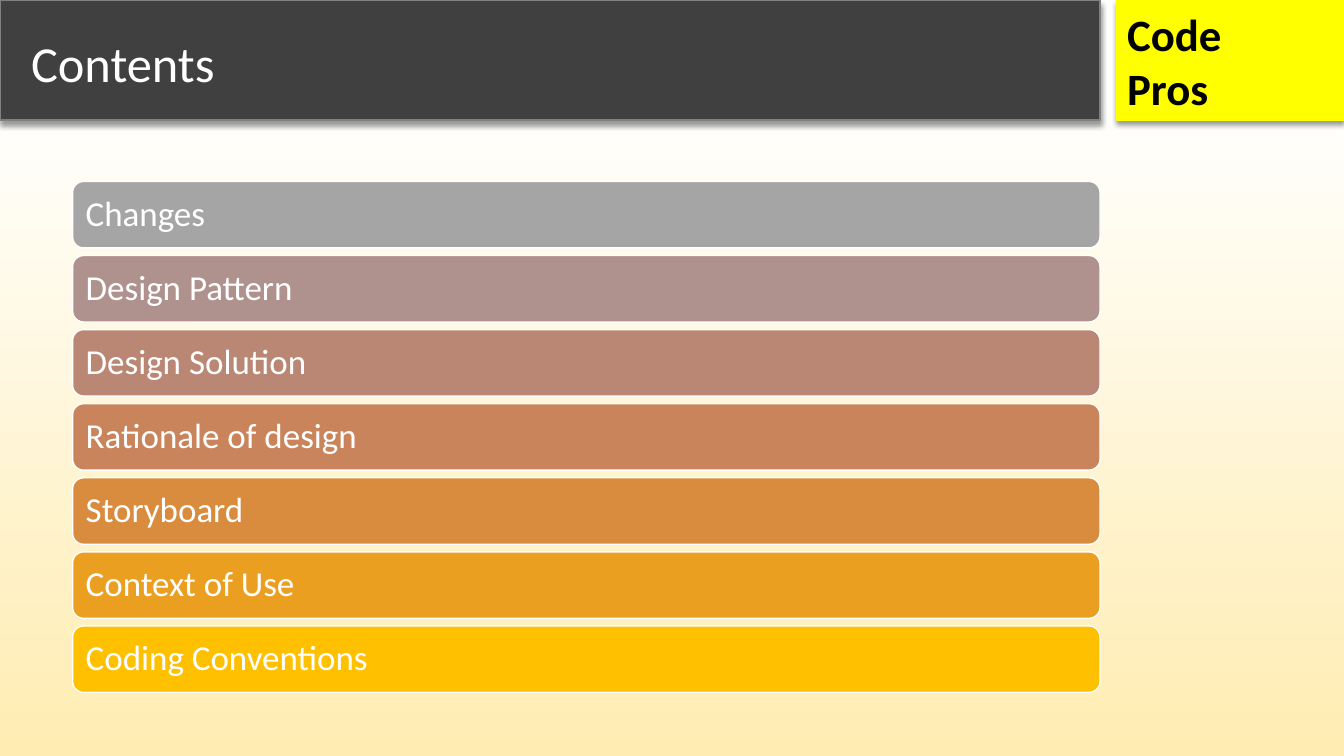
"""Build the contents slide with a header bar, a team tag and seven topic bars."""
import pptx
import pptx.dml.color
import pptx.enum.shapes
import pptx.enum.text
import pptx.oxml
import pptx.oxml.ns
import pptx.util

Inches = pptx.util.Inches
Pt = pptx.util.Pt
SHAPES = pptx.enum.shapes.MSO_SHAPE
ANCHORS = pptx.enum.text.MSO_ANCHOR

TOPICS = [
    ("Changes", "A5A5A5"),
    ("Design Pattern", "AF928D"),
    ("Design Solution", "BB8775"),
    ("Rationale of design", "C9845B"),
    ("Storyboard", "D98B3E"),
    ("Context of Use", "EB9F20"),
    ("Coding Conventions", "FFC000"),
]
TOPIC_TOP = 1.8
TOPIC_PITCH = 0.735


def rgb(color):
    """Return the colour for a hex string."""
    return pptx.dml.color.RGBColor.from_string(color)


def write_text(shape, text, size, color="FFFFFF", bold=False, anchor=ANCHORS.MIDDLE,
               line_spacing=0.9, inset=0.1):
    """Write one left-aligned, wrapped paragraph into a shape."""
    frame = shape.text_frame
    frame.word_wrap = True
    frame.vertical_anchor = anchor
    frame.margin_left = frame.margin_right = Inches(inset)
    paragraph = frame.paragraphs[0]
    paragraph.alignment = pptx.enum.text.PP_ALIGN.LEFT
    paragraph.line_spacing = line_spacing
    run = paragraph.add_run()
    run.text = text
    run.font.name = "Calibri"
    run.font.size = Pt(size)
    run.font.bold = bold
    run.font.color.rgb = rgb(color)


def add_text(slide, box, text, **text_format):
    """Add a text box at left, top, width, height in inches."""
    shape = slide.shapes.add_textbox(*map(Inches, box))
    write_text(shape, text, **text_format)


def add_block(slide, kind, box, fill, line):
    """Add a filled, outlined shape without a shadow."""
    shape = slide.shapes.add_shape(kind, *map(Inches, box))
    shape.shadow.inherit = False
    shape.fill.solid()
    shape.fill.fore_color.rgb = rgb(fill)
    shape.line.color.rgb = rgb(line)
    shape.line.width = Pt(1)
    return shape


def add_shadow(shape):
    """Give a shape a soft black shadow below it."""
    effects = shape._element.spPr.find(pptx.oxml.ns.qn("a:effectLst"))
    effects.append(pptx.oxml.parse_xml(
        f'<a:outerShdw {pptx.oxml.ns.nsdecls("a")} blurRad="{Pt(4)}" dist="{Pt(3)}" '
        'dir="5400000" rotWithShape="0"><a:srgbClr val="000000">'
        '<a:alpha val="40000"/></a:srgbClr></a:outerShdw>'))


def paint_background(slide):
    """Fill the slide with a white to cream gradient from top to bottom."""
    fill = slide.background.fill
    fill.gradient()
    fill.gradient_angle = 270
    for stop, position, color in zip(fill.gradient_stops, (0.12, 1), ("FFFFFF", "FFECB2")):
        stop.position = position
        stop.color.rgb = rgb(color)


def add_header(slide):
    """Add the title bar and the team tag."""
    title_bar = add_block(slide, SHAPES.RECTANGLE, (0, 0, 10.91, 1.19), "404040", "808080")
    team_tag = add_block(slide, SHAPES.RECTANGLE, (11.08, 0, 2.25, 1.19), "FFFF00", "FFFF00")
    add_shadow(title_bar)
    add_shadow(team_tag)
    add_text(slide, (11.08, 0.02, 1.62, 1.18), "Code Pros", size=32, color="000000",
             bold=True, anchor=ANCHORS.TOP, line_spacing=1.0)
    add_text(slide, (0.21, 0.07, 10.37, 1.18), "Contents", size=36)


def add_topics(slide):
    """Add the evenly spaced topic bars."""
    for index, (topic, color) in enumerate(TOPICS):
        box = (0.72, TOPIC_TOP + index * TOPIC_PITCH, 10.19, 0.66)
        bar = add_block(slide, SHAPES.ROUNDED_RECTANGLE, box, color, "FFFFFF")
        write_text(bar, topic, size=25, inset=0.1)


def main():
    """Build and save the presentation."""
    presentation = pptx.Presentation()
    presentation.slide_width = Inches(13.33)
    presentation.slide_height = Inches(7.5)
    slide = presentation.slides.add_slide(presentation.slide_layouts[6])
    paint_background(slide)
    add_header(slide)
    add_topics(slide)
    presentation.save("out.pptx")


main()
